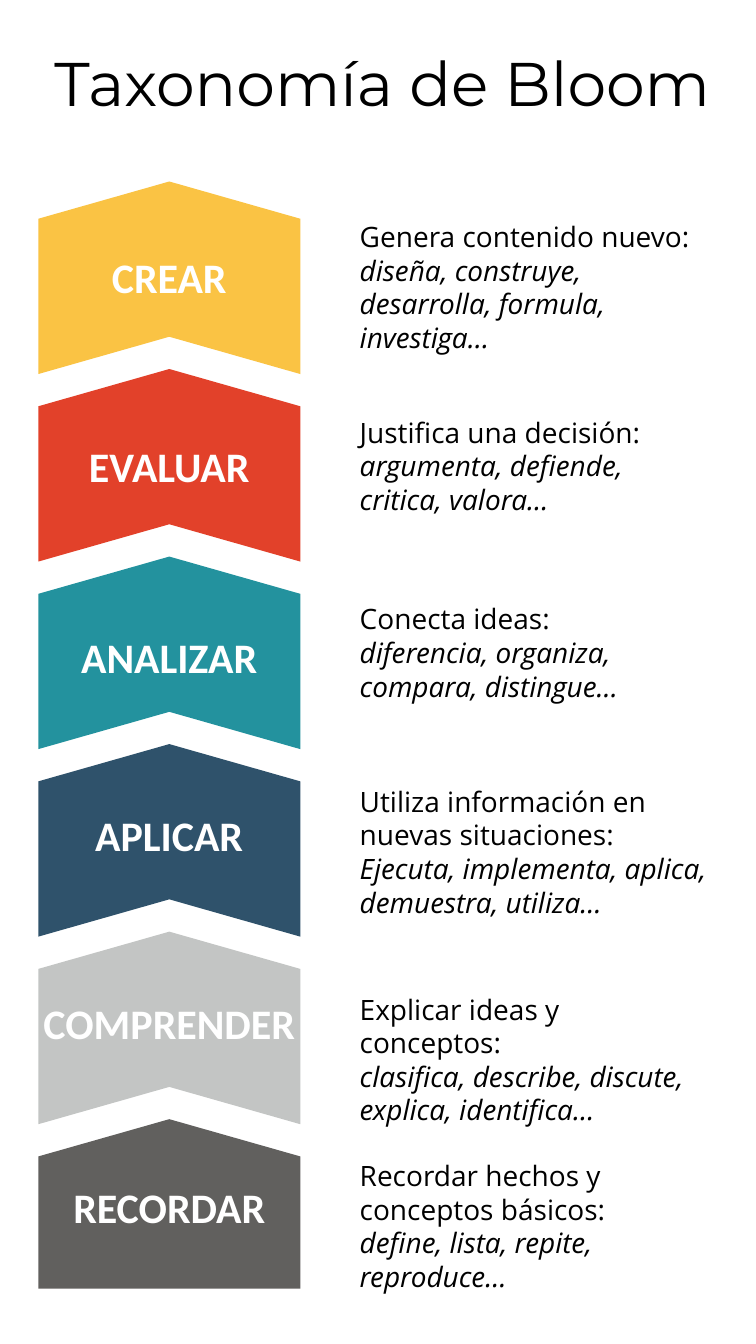
"""Builds a tall slide of Bloom's taxonomy as six stacked chevrons with notes."""
from pptx import Presentation
from pptx.dml.color import RGBColor
from pptx.enum.text import PP_ALIGN
from pptx.util import Inches, Pt

LEFT, MID = PP_ALIGN.LEFT, PP_ALIGN.CENTER
COLORS = {
    "gold": "FAC344", "red": "E2412A", "teal": "23929E", "navy": "2F526B",
    "silver": "C3C5C4", "gray": "61605E", "black": "000000", "white": "FFFFFF",
}
EDGE, TOP, ROW = 0.38, 1.8, 1.86
WIDE, TALL, BASE, PEAK = 2.6, 1.91, 1.68, 0.37
NOTE, SPAN = 3.47, 3.65

LEVELS = [
    ("CREAR", "gold", 2.49, 2.13, "Genera contenido nuevo:",
     "diseña, construye, desarrolla, formula, investiga…"),
    ("EVALUAR", "red", 4.37, 4.07, "Justifica una decisión:",
     "argumenta, defiende, critica, valora…"),
    ("ANALIZAR", "teal", 6.26, 5.92, "Conecta ideas:",
     "diferencia, organiza, compara, distingue…"),
    ("APLICAR", "navy", 8.03, 7.73, "Utiliza información en nuevas situaciones:",
     "Ejecuta, implementa, aplica, demuestra, utiliza…"),
    ("COMPRENDER", "silver", 9.89, 9.79, "Explicar ideas y conceptos:",
     "clasifica, describe, discute, explica, identifica…"),
    ("RECORDAR", "gray", 11.72, 11.44, "Recordar hechos y conceptos básicos:",
     "define, lista, repite, reproduce…"),
]

deck = Presentation()
deck.slide_width, deck.slide_height = Inches(7.5), Inches(13.33)
slide = deck.slides.add_slide(deck.slide_layouts[6])


def write(box, lines, face, size, color, align=LEFT, bold=False, inset=0):
    """Adds a text box; every line after the first is italic."""
    frame = slide.shapes.add_textbox(*map(Inches, box)).text_frame
    frame.word_wrap = True
    if not inset:
        frame.margin_left = frame.margin_right = 0
        frame.margin_top = frame.margin_bottom = 0
    frame.text = "\n".join(lines)
    for rank, para in enumerate(frame.paragraphs):
        para.alignment = align
        font = para.font
        font.name, font.size, font.bold = face, Pt(size), bold
        font.italic = rank > 0
        font.color.rgb = RGBColor.from_string(COLORS[color])


write((0.54, 0.45, 6.71, 0.74), ["Taxonomía de Bloom"], "Montserrat", 44, "black")

for step, (name, color, label, note, goal, verbs) in enumerate(LEVELS):
    top = TOP + step * ROW
    last = step == len(LEVELS) - 1
    base = top + (BASE if last else TALL)
    notch = base if last else base - PEAK
    right, center = EDGE + WIDE, EDGE + WIDE / 2
    points = [(right, base), (center, notch), (EDGE, base),
              (EDGE, top + PEAK), (center, top), (right, top + PEAK)]
    points = [(Inches(x), Inches(y)) for x, y in points]
    pen = slide.shapes.build_freeform(*points[0])
    pen.add_line_segments(points[1:], close=True)
    arrow = pen.convert_to_shape()
    arrow.shadow.inherit = False
    arrow.fill.solid()
    arrow.fill.fore_color.rgb = RGBColor.from_string(COLORS[color])
    arrow.line.fill.background()
    write((EDGE, label, WIDE, 0.5), [name], "Calibri", 30, "white", MID, True)
    write((NOTE, note, SPAN, 1.45), [goal, verbs], "Open Sans", 20, "black", inset=1)

deck.save("out.pptx")
